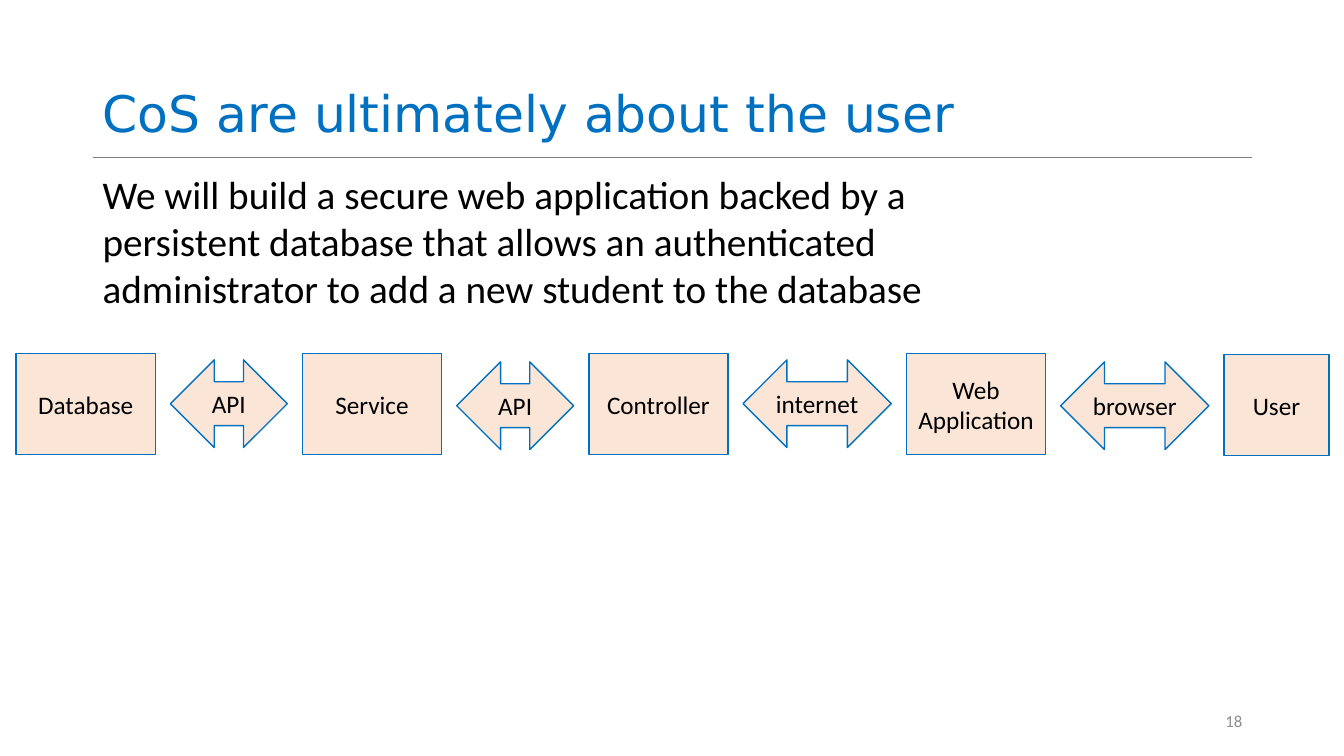
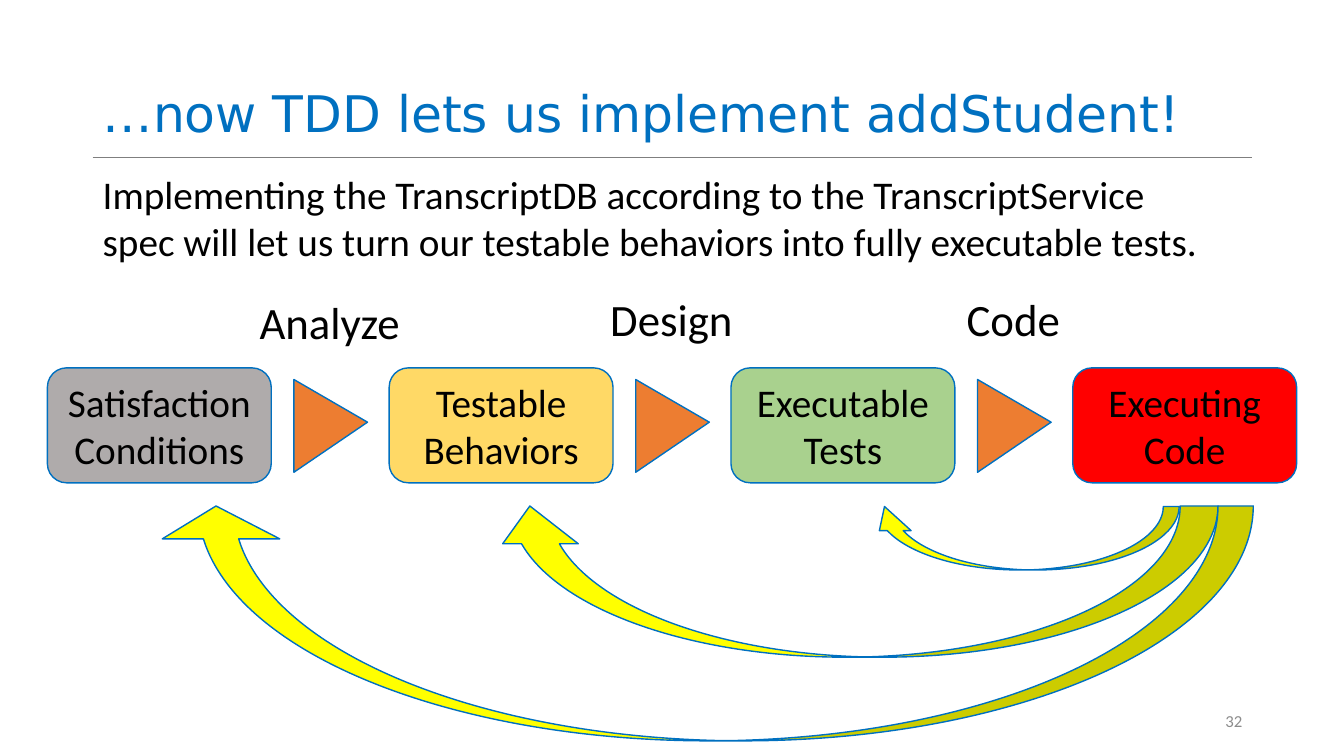
import pptx
import pptx.util
import pptx.dml.color
import pptx.enum.shapes
import pptx.enum.text
import lxml.etree

Inches = pptx.util.Inches
Pt = pptx.util.Pt
KIND = pptx.enum.shapes.MSO_SHAPE
ALIGN = pptx.enum.text.PP_ALIGN
ANCHOR = pptx.enum.text.MSO_ANCHOR

BLUE, BLACK, GRAY, RULE = "0070C0", "000000", "8C8C8C", "7F7F7F"
PEACH, ORANGE, YELLOW = "FBE5D6", "ED7D31", "FFFF00"

USER = {
    "title": "CoS are ultimately about the user",
    "body": "We will build a secure web application backed by a persistent "
            "database that allows an authenticated administrator to add a "
            "new student to the database",
    "width": 8.62,
    "page": "18",
}
BOX, ARROW = (KIND.RECTANGLE, 1), (KIND.LEFT_RIGHT_ARROW, 0.87)
# kind and height, text, width, top
CHAIN = [
    (BOX, "Database", 1.38, 3.51),
    (ARROW, "API", 1.16, 3.57),
    (BOX, "Service", 1.38, 3.51),
    (ARROW, "API", 1.16, 3.59),
    (BOX, "Controller", 1.38, 3.51),
    (ARROW, "internet", 1.47, 3.57),
    (BOX, "Web Application", 1.38, 3.51),
    (ARROW, "browser", 1.47, 3.59),
    (BOX, "User", 1.04, 3.52),
]
CHAIN_LEFT, CHAIN_GAP = 0.16, 0.15

TDD = {
    "title": "…now TDD lets us implement addStudent!",
    "body": "Implementing the TranscriptDB according to the "
            "TranscriptService spec will let us turn our testable behaviors "
            "into fully executable tests.",
    "width": 11.29,
    "page": "32",
}
STAGES = [
    ("Satisfaction Conditions", "AFABAB"),
    ("Testable Behaviors", "FFD966"),
    ("Executable Tests", "A9D18E"),
    ("Executing Code", "FF0000"),
]
STEPS = [("Analyze", 2.89), ("Design", 2.86), ("Code", 2.86)]
STAGE_LEFT, STAGE_STEP = 0.47, 3.39
# place before the quarter turn, adjustments
LOOPS = [
    ((9.84, 3.8, 0.63, 3.08), (0.25, 0.5, 0.38)),
    ((7.73, 2.17, 1.5, 7.2), (0.25, 0.5, 0.25)),
    ((5.83, 0.75, 2.33, 10.87), (0.15, 0.5, 0.14)),
]


def color(code):
    return pptx.dml.color.RGBColor.from_string(code)


def write(shape, text, size=28, font="Calibri", ink=BLACK,
          align=ALIGN.LEFT, anchor=ANCHOR.MIDDLE, space=1, side=0.1):
    frame = shape.text_frame
    frame.word_wrap = True
    frame.vertical_anchor = anchor
    frame.margin_left = frame.margin_right = Inches(side)
    line = frame.paragraphs[0]
    line.alignment = align
    line.line_spacing = space
    run = line.add_run()
    run.text = text
    run.font.size = Pt(size)
    run.font.name = font
    run.font.color.rgb = color(ink)


def label(slide, place, text, **style):
    write(slide.shapes.add_textbox(*map(Inches, place)), text, **style)


def draw(slide, kind, place, fill, turn=0, adjust=()):
    shape = slide.shapes.add_shape(kind, *map(Inches, place))
    shape.shadow.inherit = False
    shape.fill.solid()
    shape.fill.fore_color.rgb = color(fill)
    shape.line.color.rgb = color(BLUE)
    shape.line.width = Pt(1)
    shape.rotation = turn
    for i, value in enumerate(adjust):
        shape.adjustments[i] = value
    return shape


def start(deck, head):
    """Add a slide with its title, rule, body text and page number."""
    slide = deck.slides.add_slide(deck.slide_layouts[6])
    rule = slide.shapes.add_connector(
        pptx.enum.shapes.MSO_CONNECTOR.STRAIGHT,
        Inches(0.92), Inches(1.56), Inches(12.42), Inches(1.56))
    rule.line.color.rgb = color(RULE)
    rule.line.width = Pt(0.5)
    lxml.etree.SubElement(rule.line._get_or_add_ln().getparent(),
                          pptx.oxml.ns.qn("a:effectLst"))
    label(slide, (0.92, 0.02, 11.5, 1.45), head["title"], size=36,
          font="DejaVu Sans", ink=BLUE, anchor=ANCHOR.BOTTOM, space=0.9)
    label(slide, (0.92, 1.64, head["width"], 1.85), head["body"],
          anchor=ANCHOR.TOP)
    label(slide, (9.42, 6.95, 3, 0.4), head["page"], size=12, ink=GRAY,
          align=ALIGN.RIGHT)
    return slide


def add_user(deck):
    slide = start(deck, USER)
    left = CHAIN_LEFT
    for (kind, height), text, width, top in CHAIN:
        shape = draw(slide, kind, (left, top, width, height), PEACH)
        write(shape, text, size=18, align=ALIGN.CENTER, side=0.05)
        left += width + CHAIN_GAP


def add_tdd(deck):
    slide = start(deck, TDD)
    for i, (text, fill) in enumerate(STAGES):
        left = STAGE_LEFT + i * STAGE_STEP
        shape = draw(slide, KIND.ROUNDED_RECTANGLE,
                     (left, 3.65, 2.22, 1.14), fill)
        write(shape, text, align=ALIGN.CENTER)
    for i, (text, top) in enumerate(STEPS):
        left = STAGE_LEFT + i * STAGE_STEP
        draw(slide, KIND.ISOSCELES_TRIANGLE, (left + 2.35, 3.86, 0.92, 0.73),
             ORANGE, turn=90, adjust=[0.46])
        label(slide, (left + 1.6, top, 2.4, 0.6), text, size=32,
              align=ALIGN.CENTER)
    for place, adjust in LOOPS:
        draw(slide, KIND.CURVED_LEFT_ARROW, place, YELLOW, turn=90,
             adjust=adjust)


def main():
    deck = pptx.Presentation()
    deck.slide_width, deck.slide_height = Inches(13.33), Inches(7.5)
    add_user(deck)
    add_tdd(deck)
    deck.save("out.pptx")


if __name__ == "__main__":
    main()
